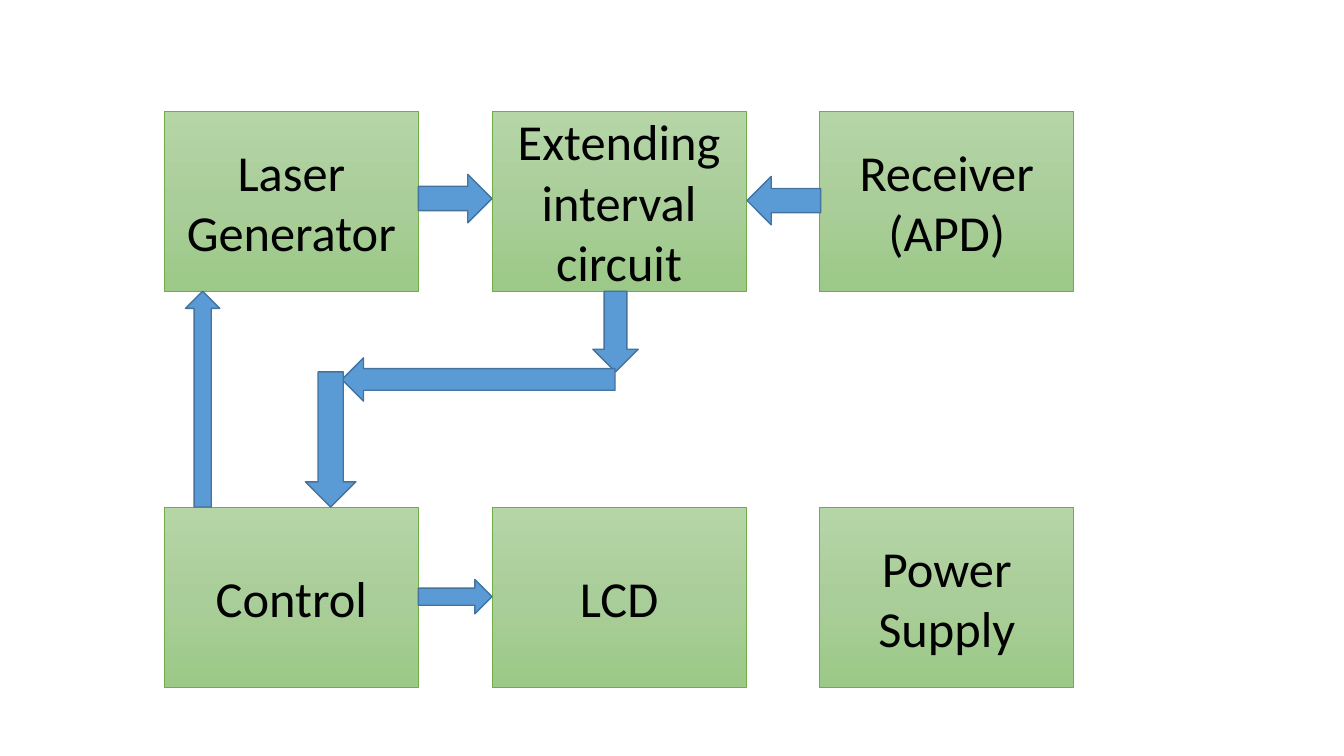
from copy import deepcopy
from dataclasses import dataclass

from pptx import Presentation
from pptx.dml.color import RGBColor
from pptx.enum.shapes import MSO_SHAPE as SHAPE
from pptx.enum.text import MSO_ANCHOR as ANCHOR, PP_ALIGN as ALIGN
from pptx.oxml.ns import qn
from pptx.util import Inches, Pt

BLACK = RGBColor(0x00, 0x00, 0x00)
GREEN_LINE = RGBColor(0x70, 0xAD, 0x47)
GREEN_STOPS = (
    (0.0, RGBColor(0xB5, 0xD5, 0xA7)),
    (0.5, RGBColor(0xAA, 0xCE, 0x9A)),
    (1.0, RGBColor(0x9C, 0xC9, 0x87)),
)
BLUE = RGBColor(0x5B, 0x9B, 0xD5)
BLUE_LINE = RGBColor(0x43, 0x73, 0x9E)

LEFT, COLUMN_STEP = 1.63, 3.25
TOP, ROW_STEP = 1.1, 3.93
BLOCK_W, BLOCK_H = 2.52, 1.79


@dataclass(frozen=True)
class Block:
    column: int
    row: int
    lines: tuple[str, ...]


@dataclass(frozen=True)
class Arrow:
    kind: SHAPE
    left: float
    top: float
    width: float
    height: float


BLOCKS = (
    Block(0, 0, ("Laser Generator",)),
    Block(1, 0, ("Extending interval circuit",)),
    Block(2, 0, ("Receiver", "(APD)")),
    Block(0, 1, ("Control",)),
    Block(1, 1, ("LCD",)),
    Block(2, 1, ("Power Supply",)),
)

ARROWS = (
    Arrow(SHAPE.UP_ARROW, 1.84, 2.89, 0.34, 2.14),
    Arrow(SHAPE.RIGHT_ARROW, 4.15, 1.73, 0.73, 0.48),
    Arrow(SHAPE.LEFT_ARROW, 7.41, 1.75, 0.73, 0.48),
    Arrow(SHAPE.DOWN_ARROW, 5.88, 2.89, 0.45, 0.8),
    Arrow(SHAPE.LEFT_ARROW, 3.39, 3.55, 2.71, 0.43),
    Arrow(SHAPE.DOWN_ARROW, 3.03, 3.69, 0.5, 1.34),
    Arrow(SHAPE.RIGHT_ARROW, 4.15, 5.75, 0.73, 0.34),
)


def add_outlined(s, kind: SHAPE, box: tuple[float, ...], line: RGBColor, width: float):
    sp = s.shapes.add_shape(kind, *(Inches(length) for length in box))
    sp.shadow.inherit = False
    sp.line.color.rgb = line
    sp.line.width = Pt(width)
    return sp


def fill_green(sp) -> None:
    sp.fill.gradient()
    sp.fill.gradient_angle = 270
    stops = sp.element.spPr.find(".//" + qn("a:gsLst"))
    stops.insert(1, deepcopy(stops[0]))
    for stop, (position, color) in zip(sp.fill.gradient_stops, GREEN_STOPS):
        stop.position = position
        stop.color.rgb = color


def draw_block(s, block: Block) -> None:
    box = (LEFT + block.column * COLUMN_STEP, TOP + block.row * ROW_STEP, BLOCK_W, BLOCK_H)
    sp = add_outlined(s, SHAPE.RECTANGLE, box, GREEN_LINE, 0.5)
    fill_green(sp)
    tf = sp.text_frame
    tf.word_wrap = True
    tf.vertical_anchor = ANCHOR.MIDDLE
    for i, line in enumerate(block.lines):
        p = tf.add_paragraph() if i else tf.paragraphs[0]
        p.alignment = ALIGN.CENTER
        r = p.add_run()
        r.text = line
        r.font.name = "Calibri"
        r.font.size = Pt(36)
        r.font.color.rgb = BLACK


def draw_arrow(s, arrow: Arrow) -> None:
    box = (arrow.left, arrow.top, arrow.width, arrow.height)
    sp = add_outlined(s, arrow.kind, box, BLUE_LINE, 1)
    sp.fill.solid()
    sp.fill.fore_color.rgb = BLUE


prs = Presentation()
prs.slide_width, prs.slide_height = Inches(13.33), Inches(7.5)
s = prs.slides.add_slide(prs.slide_layouts[6])
for block in BLOCKS:
    draw_block(s, block)
for arrow in ARROWS:
    draw_arrow(s, arrow)
prs.save("out.pptx")
